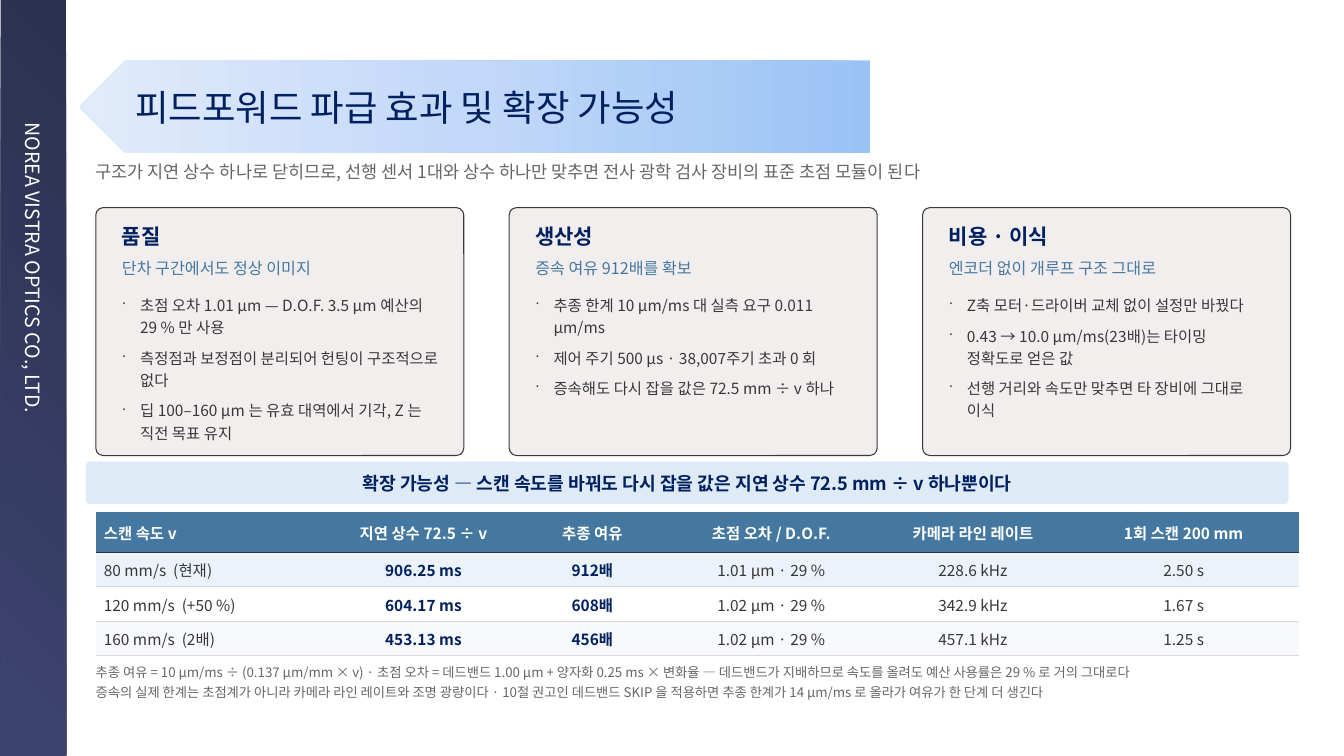
"""Build the slide on the effects and scalability of feedforward focus control."""
from copy import deepcopy

from lxml.etree import SubElement
from pptx import Presentation
from pptx.dml.color import RGBColor
from pptx.enum.shapes import MSO_SHAPE as Shape
from pptx.enum.text import MSO_ANCHOR as Anchor, MSO_AUTO_SIZE as AutoSize, PP_ALIGN as Align
from pptx.oxml import parse_xml
from pptx.oxml.ns import nsdecls, qn
from pptx.util import Inches, Pt

FONT = "Noto Sans CJK KR"
COLORS = {
    "navy": "002060", "steel": "4478A0", "ink": "383838", "grey": "666666",
    "white": "FFFFFF", "card": "F2EEEE", "callout": "DEEAF6",
    "header_rule": "2C314F", "row_rule": "D9D9D9",
}
SIDEBAR_STOPS = [(0, "2C314F"), (1, "3D446F")]
BANNER_STOPS = [(0, "9AC3F5"), (0.5, "C2D8F8"), (1, "E1EBFB")]
ROW_FILLS = ["4478A0", "EBF2F9", "FFFFFF", "F7F9FC"]
CARDS = [
    ("품질", "단차 구간에서도 정상 이미지", [
        "초점 오차 1.01 µm — D.O.F. 3.5 µm 예산의 29 % 만 사용",
        "측정점과 보정점이 분리되어 헌팅이 구조적으로 없다",
        "딥 100–160 µm 는 유효 대역에서 기각, Z 는 직전 목표 유지"]),
    ("생산성", "증속 여유 912배를 확보", [
        "추종 한계 10 µm/ms 대 실측 요구 0.011 µm/ms",
        "제어 주기 500 µs · 38,007주기 초과 0 회",
        "증속해도 다시 잡을 값은 72.5 mm ÷ v 하나"]),
    ("비용 · 이식", "엔코더 없이 개루프 구조 그대로", [
        "Z축 모터·드라이버 교체 없이 설정만 바꿨다",
        "0.43 → 10.0 µm/ms(23배)는 타이밍 정확도로 얻은 값",
        "선행 거리와 속도만 맞추면 타 장비에 그대로 이식"]),
]
SCAN_ROWS = [
    ["스캔 속도 v", "지연 상수 72.5 ÷ v", "추종 여유", "초점 오차 / D.O.F.",
     "카메라 라인 레이트", "1회 스캔 200 mm"],
    ["80 mm/s  (현재)", "906.25 ms", "912배", "1.01 µm · 29 %", "228.6 kHz", "2.50 s"],
    ["120 mm/s  (+50 %)", "604.17 ms", "608배", "1.02 µm · 29 %", "342.9 kHz", "1.67 s"],
    ["160 mm/s  (2배)", "453.13 ms", "456배", "1.02 µm · 29 %", "457.1 kHz", "1.25 s"],
]
COLUMN_WIDTHS = [2.3, 1.9, 1.45, 2.1, 1.9, 2.28]
FOOTNOTES = [
    "추종 여유 = 10 µm/ms ÷ (0.137 µm/mm × v) · 초점 오차 = 데드밴드 1.00 µm + 양자화 0.25 ms × 변화율"
    " — 데드밴드가 지배하므로 속도를 올려도 예산 사용률은 29 % 로 거의 그대로다",
    "증속의 실제 한계는 초점계가 아니라 카메라 라인 레이트와 조명 광량이다 · 10절 권고인 데드밴드 SKIP 을"
    " 적용하면 추종 한계가 14 µm/ms 로 올라가 여유가 한 단계 더 생긴다",
]


def write(frame, lines, size, color, bold=False, align=Align.LEFT, margins=(0, 0, 0, 0),
          anchor=Anchor.TOP, spacing=None, after=0, bullet=False):
    """Fill a text frame with one evenly formatted paragraph per line."""
    frame.word_wrap = True
    frame.vertical_anchor = anchor
    (frame.margin_left, frame.margin_top,
     frame.margin_right, frame.margin_bottom) = map(Inches, margins)
    frame.text = "\n".join(lines)
    for para in frame.paragraphs:
        para.alignment = align
        para.space_before = Pt(0)
        para.space_after = Pt(after)
        if spacing:
            para.line_spacing = spacing
        properties = para._p.get_or_add_pPr()
        if bullet:
            properties.set("marL", str(Inches(0.18)))
            properties.set("indent", str(Inches(-0.18)))
            SubElement(properties, qn("a:buSzPct"), val="90000")
            SubElement(properties, qn("a:buChar"), char="·")
        para.font.size = Pt(size)
        para.font.bold = bold
        para.font.color.rgb = RGBColor.from_string(COLORS[color])
        para.font.name = FONT
        SubElement(properties.find(qn("a:defRPr")), qn("a:ea"), typeface=FONT)


def add_panel(kind, left, top, width, height, fill, line=None):
    """Add a shadowless shape; a list of stops as fill makes a gradient."""
    panel = page.shapes.add_shape(kind, Inches(left), Inches(top), Inches(width), Inches(height))
    panel.shadow.inherit = False
    if isinstance(fill, list):
        panel.fill.gradient()
        stops = panel.fill._xPr.find(qn("a:gradFill")).find(qn("a:gsLst"))
        while len(stops) < len(fill):
            stops.append(deepcopy(stops[0]))
        for stop, (position, color) in zip(panel.fill.gradient_stops, fill):
            stop.position = position
            stop.color.rgb = RGBColor.from_string(color)
    else:
        panel.fill.solid()
        panel.fill.fore_color.rgb = RGBColor.from_string(COLORS[fill])
    if line:
        panel.line.color.rgb = RGBColor.from_string(COLORS[line])
        panel.line.width = Pt(0.75)
    else:
        panel.line.fill.background()
    return panel


deck = Presentation()
deck.slide_width, deck.slide_height = Inches(13.33), Inches(7.5)
page = deck.slides.add_slide(deck.slide_layouts[5])

sidebar = add_panel(Shape.RECTANGLE, -3.42, 3.42, 7.5, 0.65, SIDEBAR_STOPS)
sidebar.rotation = 90
sidebar.fill.gradient_angle = 315
write(sidebar.text_frame, ["NOREA VISTRA OPTICS CO., LTD."], 14, "white",
      margins=(1.22, 0.05, 0.1, 0.05), anchor=Anchor.MIDDLE)

banner = add_panel(Shape.PENTAGON, 0.79, 0.6, 7.84, 0.92, BANNER_STOPS)
banner.fill.gradient_angle = 0
banner._element.spPr.xfrm.set("flipH", "1")

title = page.shapes.title
page.shapes._spTree.append(title._element)
title.left, title.top, title.width, title.height = map(Inches, (1.34, 0.6, 6.86, 0.92))
write(title.text_frame, ["피드포워드 파급 효과 및 확장 가능성"], 26, "navy", anchor=Anchor.MIDDLE)
title.text_frame.auto_size = AutoSize.NONE

subtitle = page.shapes.add_textbox(Inches(0.95), Inches(1.6), Inches(11.93), Inches(0.34))
write(subtitle.text_frame,
      ["구조가 지연 상수 하나로 닫히므로, 선행 센서 1대와 상수 하나만 맞추면 전사 광학 검사 장비의 표준 초점 모듈이 된다"],
      12.5, "grey")

for index, (heading, claim, points) in enumerate(CARDS):
    left = 0.95 + 4.1 * index
    card = add_panel(Shape.ROUNDED_RECTANGLE, left, 2.06, 3.65, 2.46, "card", "ink")
    card.adjustments[0] = 0.03
    for top, height, lines, style in [
        (2.22, 0.3, [heading], dict(size=15, color="navy", bold=True)),
        (2.56, 0.28, [claim], dict(size=11.5, color="steel")),
        (2.9, 1.52, points, dict(size=11, color="ink", spacing=1.2, after=6, bullet=True)),
    ]:
        box = page.shapes.add_textbox(Inches(left + 0.26), Inches(top), Inches(3.15), Inches(height))
        write(box.text_frame, lines, **style)

callout = add_panel(Shape.ROUNDED_RECTANGLE, 0.85, 4.58, 11.93, 0.42, "callout")
callout.adjustments[0] = 0.1
write(callout.text_frame, ["확장 가능성 — 스캔 속도를 바꿔도 다시 잡을 값은 지연 상수 72.5 mm ÷ v 하나뿐이다"],
      13, "navy", bold=True, align=Align.CENTER, margins=(0.06, 0.02, 0.06, 0.02),
      anchor=Anchor.MIDDLE)

table_frame = page.shapes.add_table(len(SCAN_ROWS), len(COLUMN_WIDTHS), Inches(0.95), Inches(5.08),
                                    Inches(11.93), Inches(1.42))
table = table_frame.table
table.horz_banding = False
table._tbl.tblPr.find(qn("a:tableStyleId")).text = "{2D5ABB26-0587-4C30-8999-92F81FD0307C}"
for column, width in zip(table.columns, COLUMN_WIDTHS):
    column.width = Inches(width)
for row_index, values in enumerate(SCAN_ROWS):
    is_header = row_index == 0
    table.rows[row_index].height = Inches(0.4 if is_header else 0.34)
    rule, rule_width = ("header_rule", 1.2) if is_header else ("row_rule", 0.6)
    for column_index, value in enumerate(values):
        cell = table.cell(row_index, column_index)
        is_key = column_index in (1, 2)
        write(cell.text_frame, [value], 11,
              "white" if is_header else "navy" if is_key else "ink",
              bold=is_header or is_key, spacing=1.05,
              align=Align.CENTER if column_index else Align.LEFT)
        cell.vertical_anchor = Anchor.MIDDLE
        cell.margin_left = cell.margin_right = Inches(0.08)
        cell.margin_top = cell.margin_bottom = Inches(0.03)
        cell.fill.solid()
        cell.fill.fore_color.rgb = RGBColor.from_string(ROW_FILLS[row_index])
        cell._tc.tcPr.insert(0, parse_xml(
            f'<a:lnB {nsdecls("a")} w="{Pt(rule_width)}"><a:solidFill>'
            f'<a:srgbClr val="{COLORS[rule]}"/></a:solidFill></a:lnB>'))

footnote = page.shapes.add_textbox(Inches(0.95), Inches(6.56), Inches(11.83), Inches(0.4))
write(footnote.text_frame, FOOTNOTES, 9.5, "grey", spacing=1.18, after=1)

deck.save("out.pptx")
